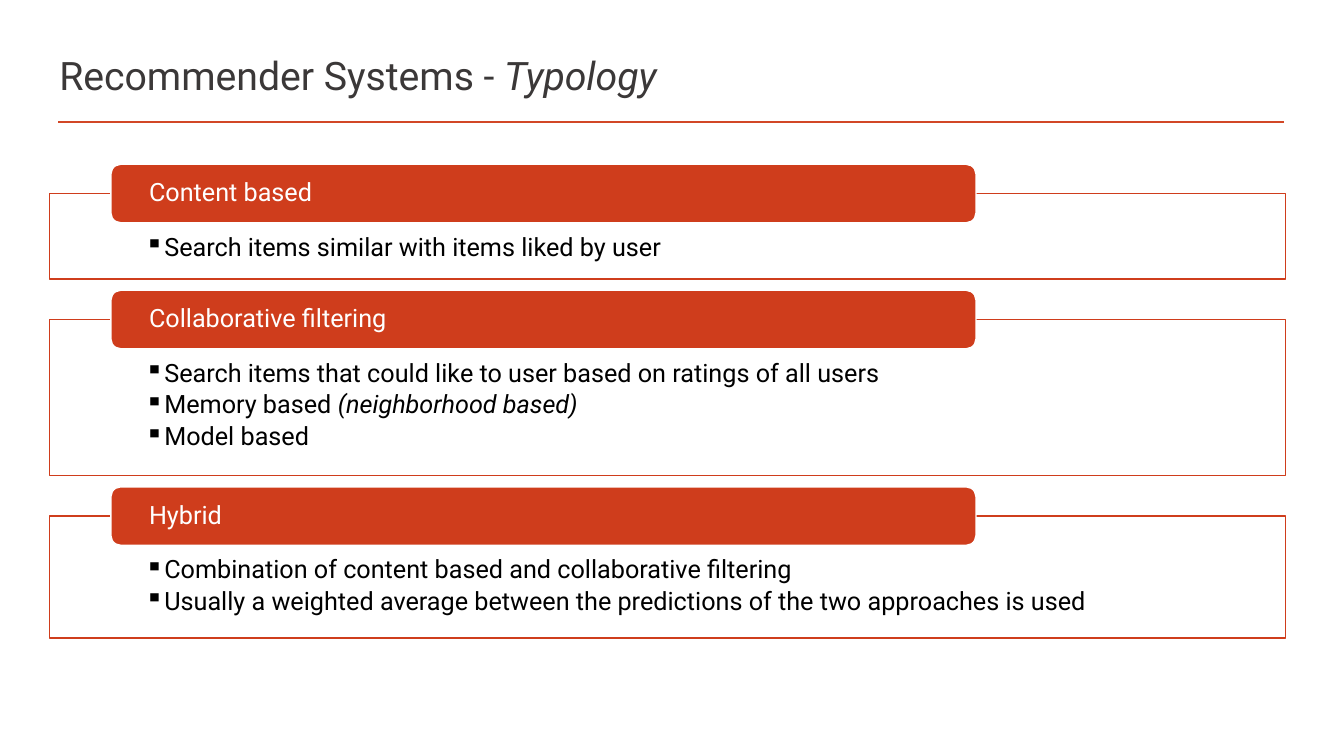
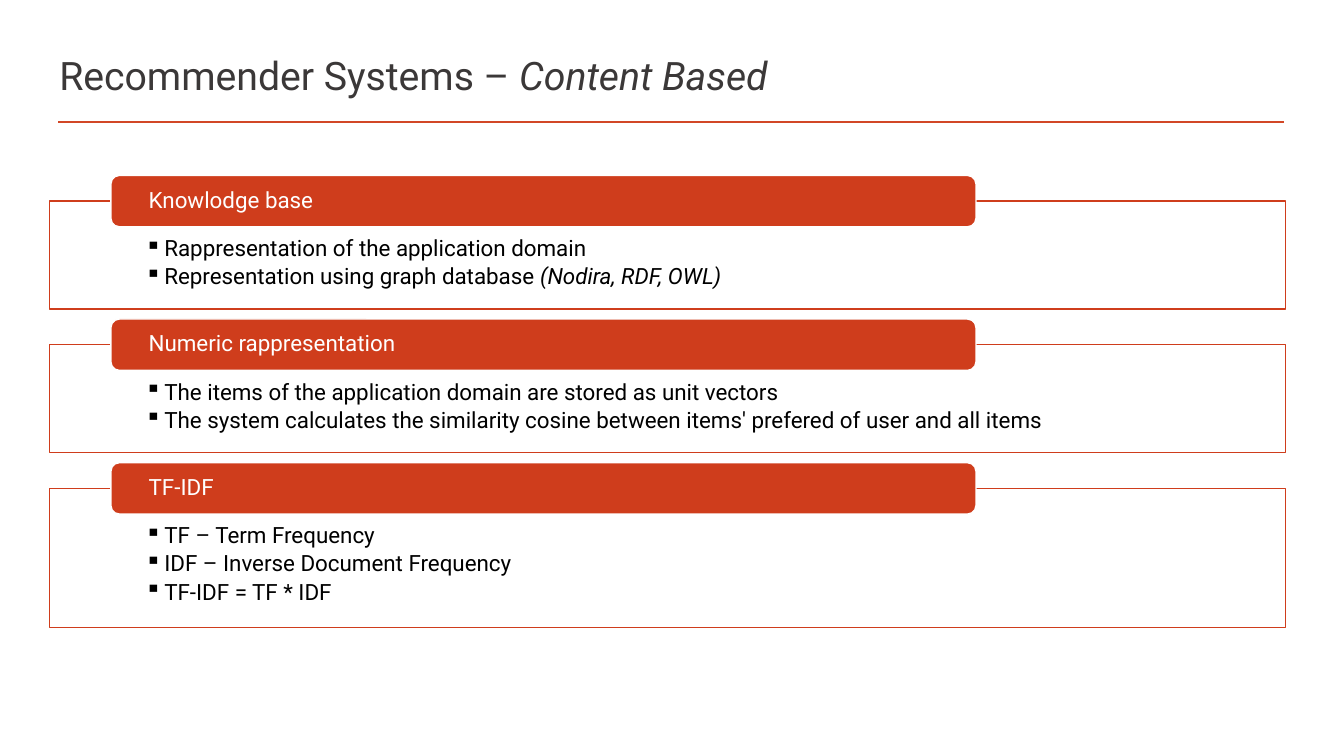
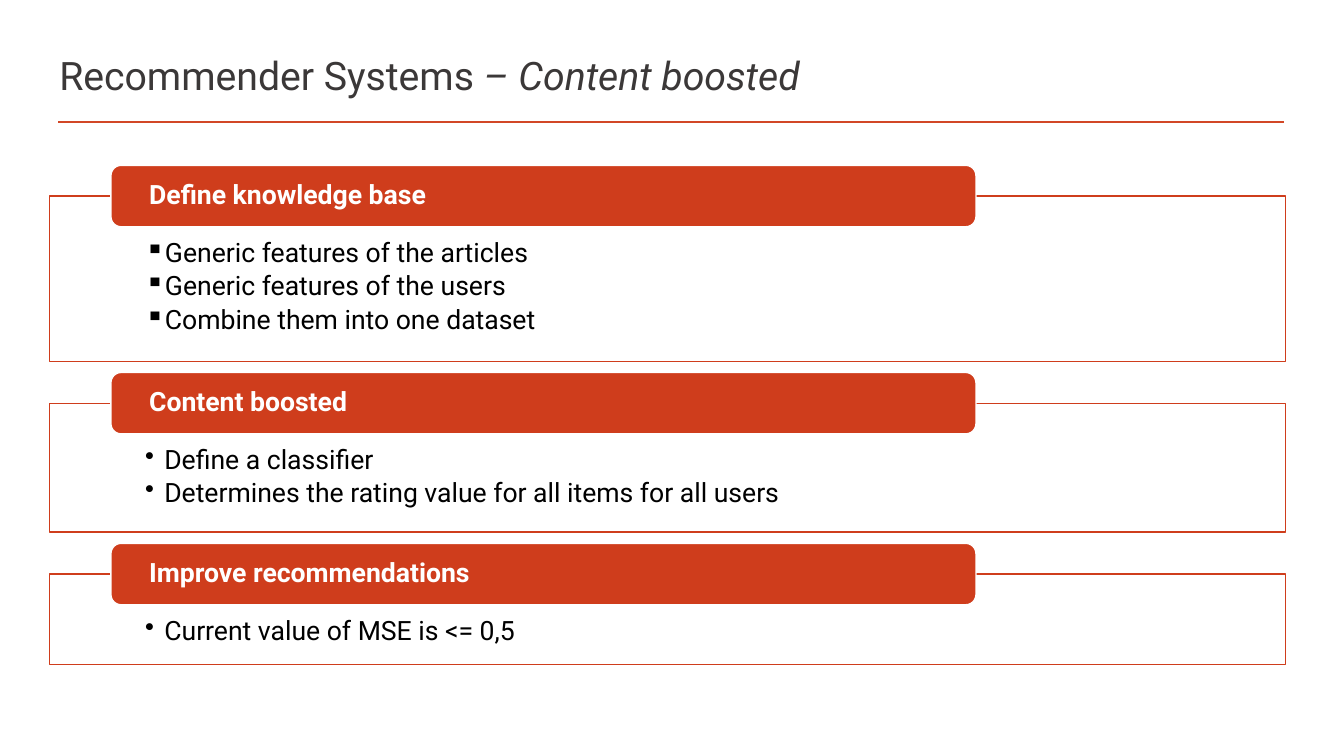
from dataclasses import dataclass

from lxml.etree import SubElement
from pptx import Presentation
from pptx.dml.color import RGBColor
from pptx.enum.shapes import MSO_CONNECTOR as Connector, MSO_SHAPE as Shape
from pptx.enum.text import MSO_ANCHOR as Anchor, PP_ALIGN as Align
from pptx.oxml.ns import qn
from pptx.util import Inches, Pt


@dataclass(frozen=True)
class Theme:
    font: str = "Roboto"
    title_size: int = 28
    title: RGBColor = RGBColor.from_string("3B3838")
    rule: RGBColor = RGBColor.from_string("D24726")
    accent: RGBColor = RGBColor.from_string("CF3D1C")
    white: RGBColor = RGBColor.from_string("FFFFFF")
    body: RGBColor = RGBColor.from_string("000000")
    left: float = 0.49
    width: float = 12.26


@dataclass(frozen=True)
class Section:
    heading: str
    height: float
    items: tuple
    bullet: str = "▪"


@dataclass(frozen=True)
class Topic:
    title: tuple
    size: int
    top: float
    bar_height: float
    gap: float
    sections: tuple
    bold: bool = False


THEME = Theme()

TOPICS = (
    Topic(("Recommender Systems - ", "Typology"), 18, 1.63, 0.58, 0.11, (
        Section("Content based", 0.85, (
            ("Search items similar with items liked by user",),
        )),
        Section("Collaborative filtering", 1.55, (
            ("Search items that could like to user based on ratings of all users",),
            ("Memory based ", "(neighborhood based)"),
            ("Model based",),
        )),
        Section("Hybrid", 1.21, (
            ("Combination of content based and collaborative filtering",),
            ("Usually a weighted average between the predictions of the two approaches is used",),
        )),
    )),
    Topic(("Recommender Systems – ", "Content Based"), 16, 1.74, 0.51, 0.1, (
        Section("Knowlodge base", 1.07, (
            ("Rappresentation of the application domain",),
            ("Representation using graph database ", "(Nodira, RDF, OWL)"),
        )),
        Section("Numeric rappresentation", 1.07, (
            ("The items of the application domain are stored as unit vectors",),
            ("The system calculates the similarity cosine between items' prefered of user and all items",),
        )),
        Section("TF-IDF", 1.38, (
            ("TF – Term Frequency",),
            ("IDF – Inverse Document Frequency",),
            ("TF-IDF = TF * IDF",),
        )),
    )),
    Topic(("Recommender Systems ", "– Content boosted"), 19, 1.64, 0.61, 0.11, (
        Section("Define knowledge base", 1.64, (
            ("Generic features of the articles",),
            ("Generic features of the users",),
            ("Combine them into one dataset",),
        )),
        Section("Content boosted", 1.28, (
            ("Define a classifier",),
            ("Determines the rating value for all items for all users",),
        ), "•"),
        Section("Improve recommendations", 0.9, (
            ("Current value of MSE is <= 0,5",),
        ), "•"),
    ), bold=True),
)


def write_para(para, spans, size, color, bold=False):
    para.alignment = Align.LEFT
    para.line_spacing = 0.9
    para.font.name = THEME.font
    para.font.size = Pt(size)
    para.font.bold = bold
    para.font.color.rgb = color
    for index, text in enumerate(spans):
        span = para.add_run()
        span.text = text
        if index:
            span.font.italic = True


def set_bullet(para, char):
    props = para._p.get_or_add_pPr()
    props.set("marL", str(Inches(0.19)))
    props.set("indent", str(Inches(-0.19)))
    SubElement(props, qn("a:buChar")).set("char", char)


def set_frame(frame, anchor, left, top, right, bottom):
    frame.word_wrap = True
    frame.vertical_anchor = anchor
    frame.margin_left, frame.margin_top = Inches(left), Inches(top)
    frame.margin_right, frame.margin_bottom = Inches(right), Inches(bottom)


def add_block(page, kind, left, top, width, height, fill, line):
    block = page.shapes.add_shape(
        kind, Inches(left), Inches(top), Inches(width), Inches(height))
    block.shadow.inherit = False
    block.fill.solid()
    block.fill.fore_color.rgb = fill
    block.line.color.rgb = line
    block.line.width = Pt(1)
    return block.text_frame


def add_title(page, spans):
    rule = page.shapes.add_connector(
        Connector.STRAIGHT, Inches(0.58), Inches(1.21), Inches(12.74), Inches(1.21))
    rule.line.color.rgb = THEME.rule
    rule.line.width = Pt(2)
    SubElement(rule._element.spPr, qn("a:effectLst"))
    box = page.shapes.add_textbox(
        Inches(THEME.left), Inches(0.47), Inches(THEME.width), Inches(0.61))
    set_frame(box.text_frame, Anchor.MIDDLE, 0.1, 0.05, 0.1, 0.05)
    write_para(box.text_frame.paragraphs[0], spans, THEME.title_size, THEME.title)


def add_panel(page, section, topic, top):
    frame = add_block(page, Shape.RECTANGLE, THEME.left, top, THEME.width,
                      section.height, THEME.white, THEME.accent)
    set_frame(frame, Anchor.TOP, 0.95, topic.bar_height * 0.7, 0.95, 0.14)
    for index, spans in enumerate(section.items):
        para = frame.add_paragraph() if index else frame.paragraphs[0]
        set_bullet(para, section.bullet)
        para.space_after = Pt(topic.size * 0.18)
        write_para(para, spans, topic.size, THEME.body)


def add_bar(page, section, topic, top):
    frame = add_block(page, Shape.ROUNDED_RECTANGLE, 1.1, top, 8.58,
                      topic.bar_height, THEME.accent, THEME.white)
    set_frame(frame, Anchor.MIDDLE, 0.35, 0, 0.35, 0)
    write_para(frame.paragraphs[0], (section.heading,), topic.size,
               THEME.white, topic.bold)


def add_topic(deck, topic):
    page = deck.slides.add_slide(deck.slide_layouts[6])
    add_title(page, topic.title)
    bar_top = topic.top
    for section in topic.sections:
        panel_top = bar_top + topic.bar_height / 2
        add_panel(page, section, topic, panel_top)
        add_bar(page, section, topic, bar_top)
        bar_top = panel_top + section.height + topic.gap


def main():
    deck = Presentation()
    deck.slide_width, deck.slide_height = Inches(13.33), Inches(7.5)
    for topic in TOPICS:
        add_topic(deck, topic)
    deck.save("out.pptx")


if __name__ == "__main__":
    main()
